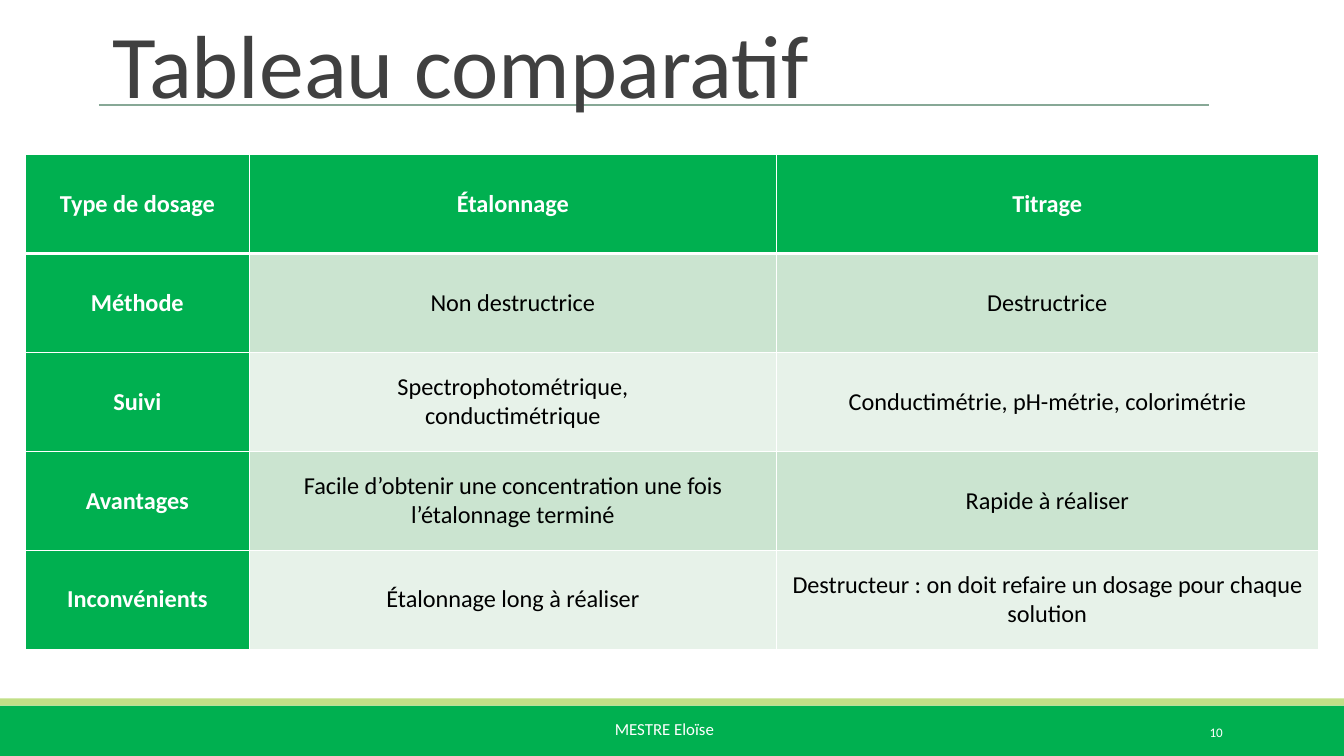
from lxml import etree
from pptx import Presentation
from pptx.dml.color import RGBColor
from pptx.enum import shapes, text
from pptx.oxml.ns import qn
from pptx.util import Cm, Pt

COLORS = {
    "green": "00B050",
    "lime": "C1DF87",
    "rule": "87A896",
    "title": "404040",
    "white": "FFFFFF",
    "black": "000000",
    "dark band": "CBE4D0",
    "light band": "E7F2E9",
}


def style(paragraph, size, color, alignment=text.PP_ALIGN.LEFT, bold=False):
    paragraph.alignment = alignment
    paragraph.font.name = "Calibri"
    paragraph.font.size = Pt(size)
    paragraph.font.bold = bold
    paragraph.font.color.rgb = RGBColor.from_string(COLORS[color])


def add_border(cell, side, width):
    """Draw one white cell border; side is L, R, T or B."""
    line = etree.SubElement(cell._tc.get_or_add_tcPr(), qn(f"a:ln{side}"), w=str(Pt(width)))
    fill = etree.SubElement(line, qn("a:solidFill"))
    etree.SubElement(fill, qn("a:srgbClr"), val=COLORS["white"])


presentation = Presentation()
presentation.slide_width, presentation.slide_height = Cm(25.4), Cm(14.29)
slide = presentation.slides.add_slide(presentation.slide_layouts[5])

# Footer bands
for color, top, height in [("green", 13.34, 0.95), ("lime", 13.2, 0.14)]:
    band = slide.shapes.add_shape(
        shapes.MSO_SHAPE.RECTANGLE, 0, Cm(top), presentation.slide_width, Cm(height))
    band.shadow.inherit = False
    band.fill.solid()
    band.fill.fore_color.rgb = RGBColor.from_string(COLORS[color])
    band.line.fill.background()

# Rule under the title
rule = slide.shapes.add_connector(
    shapes.MSO_CONNECTOR.STRAIGHT, Cm(1.87), Cm(1.98), Cm(22.84), Cm(1.98))
rule.line.color.rgb = RGBColor.from_string(COLORS["rule"])
rule.line.width = Pt(1)
etree.SubElement(rule._element.spPr, qn("a:effectLst"))

# Author and slide number
author = slide.shapes.add_textbox(Cm(11.37), Cm(13.46), Cm(2.66), Cm(1.02))
author.text_frame.text = "MESTRE Eloïse"
style(author.text_frame.paragraphs[0], 9, "white")

number = slide.shapes.add_textbox(Cm(20.62), Cm(13.46), Cm(2.74), Cm(0.76))
number.text_frame.word_wrap = True
number.text_frame.vertical_anchor = text.MSO_ANCHOR.MIDDLE
number.text_frame.text = "10"
style(number.text_frame.paragraphs[0], 7, "white", text.PP_ALIGN.RIGHT)

# Title, moved in front of the rule
title = slide.shapes.title
slide.shapes._spTree.append(title._element)
title.left, title.top, title.width, title.height = Cm(1.87), Cm(0.41), Cm(20.97), Cm(1.93)
title.text_frame.text = "Tableau comparatif"
title.text_frame.auto_size = text.MSO_AUTO_SIZE.NONE
title.text_frame.vertical_anchor = text.MSO_ANCHOR.BOTTOM
title.text_frame.paragraphs[0].line_spacing = 0.85
style(title.text_frame.paragraphs[0], 48, "title")

# Comparison table
rows = [
    ("Type de dosage", "Étalonnage", "Titrage"),
    ("Méthode", "Non destructrice", "Destructrice"),
    ("Suivi", "Spectrophotométrique,\nconductimétrique", "Conductimétrie, pH-métrie, colorimétrie"),
    ("Avantages", "Facile d’obtenir une concentration une fois l’étalonnage terminé",
     "Rapide à réaliser"),
    ("Inconvénients", "Étalonnage long à réaliser",
     "Destructeur : on doit refaire un dosage pour chaque solution"),
]
column_widths = [4.23, 9.96, 10.24]
row_height = 1.87
table = slide.shapes.add_table(
    len(rows), len(column_widths), Cm(0.48), Cm(2.92),
    Cm(sum(column_widths)), Cm(row_height * len(rows))).table
table.first_col = True
for column, width in zip(table.columns, column_widths):
    column.width = Cm(width)

for row_index, labels in enumerate(rows):
    table.rows[row_index].height = Cm(row_height)
    for column_index, label in enumerate(labels):
        cell = table.cell(row_index, column_index)
        heading = row_index == 0 or column_index == 0
        cell.text = label
        cell.vertical_anchor = text.MSO_ANCHOR.MIDDLE
        for paragraph in cell.text_frame.paragraphs:
            style(paragraph, 13, "white" if heading else "black", text.PP_ALIGN.CENTER, heading)
        for side in "LRTB":
            under_header = (row_index, side) in [(0, "B"), (1, "T")]
            add_border(cell, side, 1.47 if under_header else 0.45)
        fill = "green" if heading else "dark band" if row_index % 2 else "light band"
        cell.fill.solid()
        cell.fill.fore_color.rgb = RGBColor.from_string(COLORS[fill])

presentation.save("out.pptx")
